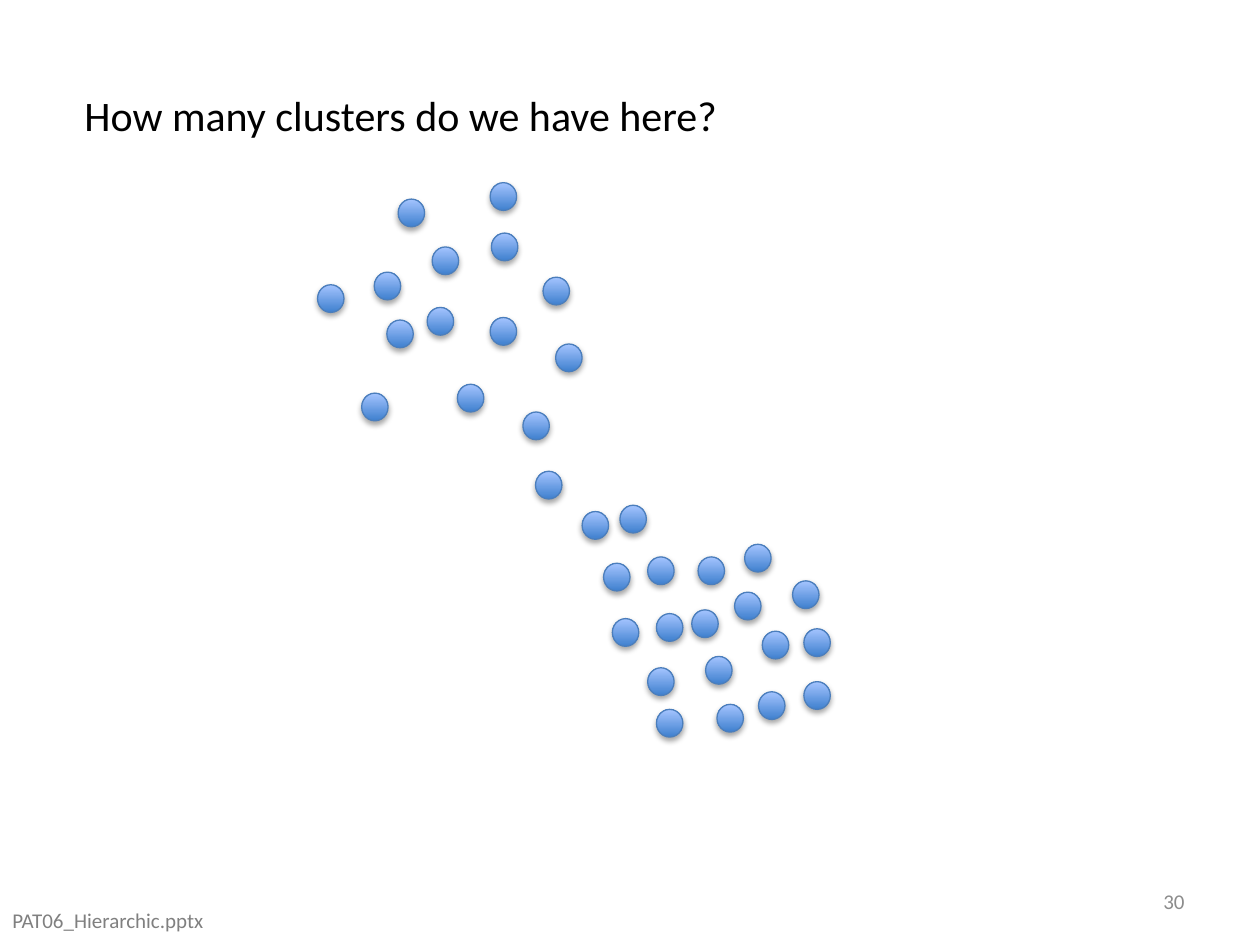
from typing import NamedTuple

from lxml.etree import SubElement
from pptx import Presentation
from pptx.dml.color import RGBColor
from pptx.enum.shapes import MSO_SHAPE as Shape
from pptx.enum.text import MSO_ANCHOR as Anchor, MSO_AUTO_SIZE as AutoSize, PP_ALIGN as Align
from pptx.oxml.ns import qn
from pptx.util import Inches, Pt

TITLE_ONLY = 5
DOT_WIDTH, DOT_HEIGHT = 0.21, 0.22
DOT_BOTTOM, DOT_TOP, DOT_LINE = "3F80CE", "A4C4FF", "4B7EBC"


class Point(NamedTuple):
    """Left and top of a dot, in inches."""
    x: float
    y: float


UPPER_CLUSTER = [
    Point(3.89, 1.45), Point(3.16, 1.58), Point(3.9, 1.85), Point(3.43, 1.96),
    Point(2.97, 2.16), Point(4.31, 2.2), Point(2.52, 2.26), Point(3.39, 2.44),
    Point(3.89, 2.52), Point(3.07, 2.54), Point(4.41, 2.73), Point(3.63, 3.05),
    Point(2.87, 3.12),
]
BRIDGE = [Point(4.15, 3.27), Point(4.25, 3.74), Point(4.62, 4.06), Point(4.92, 4.01)]
LOWER_CLUSTER = [
    Point(5.91, 4.32), Point(5.14, 4.42), Point(5.54, 4.42), Point(4.79, 4.47),
    Point(6.29, 4.61), Point(5.83, 4.7), Point(5.49, 4.84), Point(5.21, 4.87),
    Point(4.86, 4.91), Point(6.38, 4.99), Point(6.05, 5.01), Point(5.6, 5.21),
    Point(5.14, 5.3), Point(6.38, 5.41), Point(6.02, 5.49), Point(5.69, 5.59),
    Point(5.21, 5.63),
]


def rgb(value: str) -> RGBColor:
    return RGBColor.from_string(value)


def place(shape, left: float, top: float, width: float, height: float) -> None:
    shape.left, shape.top = Inches(left), Inches(top)
    shape.width, shape.height = Inches(width), Inches(height)


def write(shape, text: str, *, size: float, color: str, align=Align.LEFT,
          anchor=Anchor.TOP, wrap: bool = True, auto_size=AutoSize.NONE) -> None:
    frame = shape.text_frame
    frame.word_wrap = wrap
    frame.auto_size = auto_size
    frame.vertical_anchor = anchor
    paragraph = frame.paragraphs[0]
    paragraph.alignment = align
    run = paragraph.add_run()
    run.text = text
    run.font.name = "Calibri"
    run.font.size = Pt(size)
    run.font.color.rgb = rgb(color)


def add_soft_shadow(shape) -> None:
    shape.shadow.inherit = False
    effects = shape._element.spPr.find(qn("a:effectLst"))
    shadow = SubElement(effects, qn("a:outerShdw"), blurRad=str(Pt(3.15)),
                        dist=str(Pt(1.8)), dir="5400000", rotWithShape="0")
    black = SubElement(shadow, qn("a:srgbClr"), val="000000")
    SubElement(black, qn("a:alpha"), val="35000")


def add_dot(slide, point: Point) -> None:
    dot = slide.shapes.add_shape(Shape.OVAL, Inches(point.x), Inches(point.y),
                                 Inches(DOT_WIDTH), Inches(DOT_HEIGHT))
    dot.fill.gradient()
    dot.fill.gradient_angle = 90
    for stop, color, position in zip(dot.fill.gradient_stops, (DOT_BOTTOM, DOT_TOP), (0, 1)):
        stop.color.rgb = rgb(color)
        stop.position = position
    dot.line.color.rgb = rgb(DOT_LINE)
    dot.line.width = Pt(0.75)
    add_soft_shadow(dot)


def main() -> None:
    deck = Presentation()
    deck.slide_width, deck.slide_height = Inches(10), Inches(7.5)
    slide = deck.slides.add_slide(deck.slide_layouts[TITLE_ONLY])

    question = slide.shapes.title
    place(question, 0.57, 0.66, 6.02, 0.5)
    write(question, "How many clusters do we have here?", size=24, color="000000",
          auto_size=AutoSize.SHAPE_TO_FIT_TEXT)

    for point in UPPER_CLUSTER + BRIDGE + LOWER_CLUSTER:
        add_dot(slide, point)

    file_name = slide.shapes.add_textbox(0, Inches(7.15), Inches(1.74), Inches(0.3))
    write(file_name, "PAT06_Hierarchic.pptx", size=12, color="808080", wrap=False,
          auto_size=AutoSize.SHAPE_TO_FIT_TEXT)
    page_number = slide.shapes.add_textbox(Inches(7.17), Inches(6.95), Inches(2.33), Inches(0.4))
    write(page_number, "30", size=12, color="8C8C8C", align=Align.RIGHT, anchor=Anchor.MIDDLE)

    deck.save("out.pptx")


if __name__ == "__main__":
    main()
